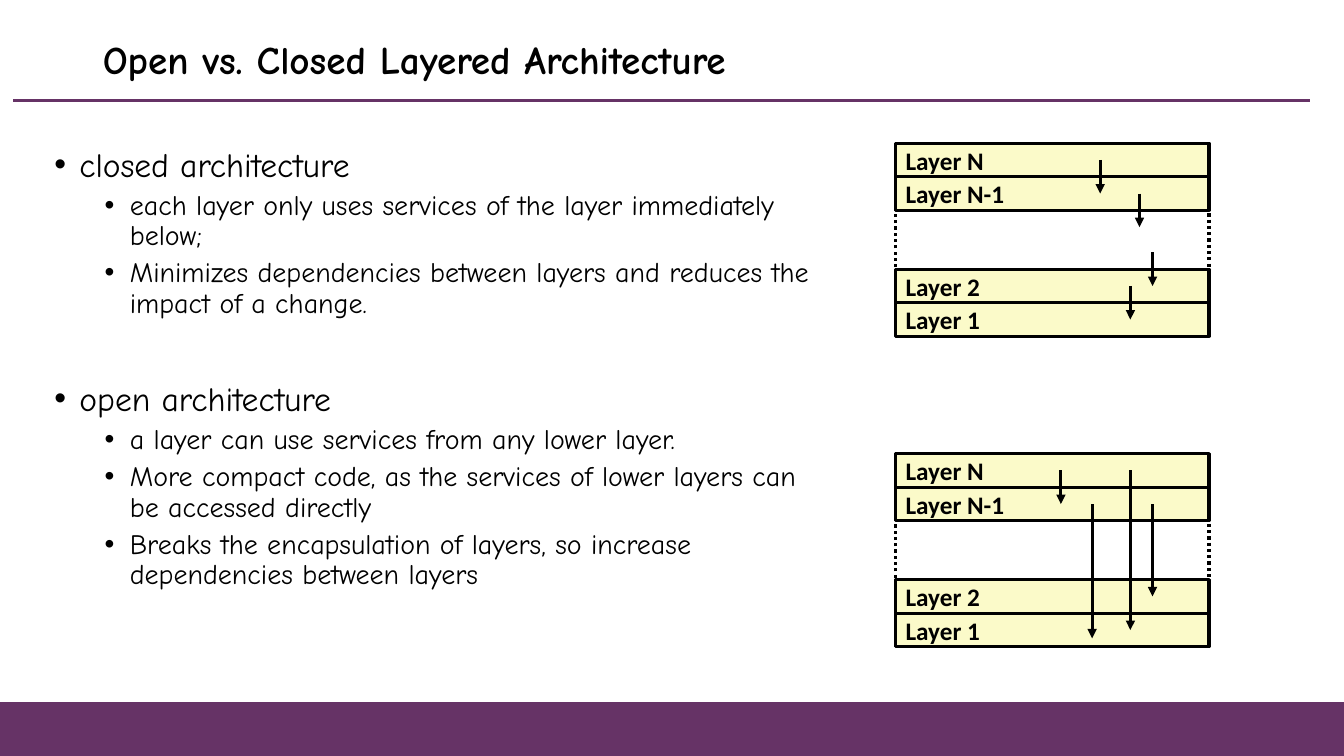
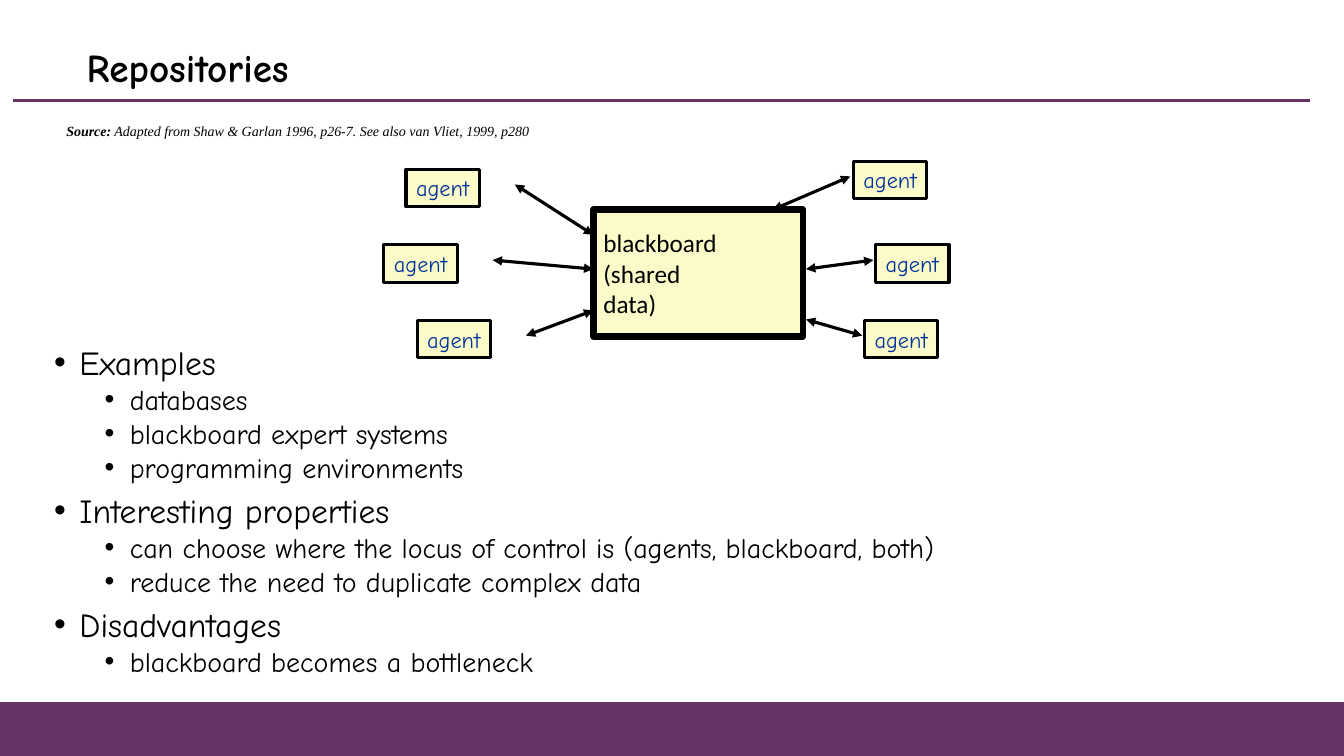
from lxml.etree import SubElement
from pptx import Presentation
from pptx.dml.color import RGBColor
from pptx.enum.dml import MSO_LINE_DASH_STYLE as Dash
from pptx.enum.shapes import MSO_CONNECTOR, MSO_SHAPE
from pptx.enum.text import MSO_ANCHOR as Anchor, MSO_AUTO_SIZE as AutoSize, PP_ALIGN as Align
from pptx.oxml.ns import qn
from pptx.util import Inches, Pt

# Shared style
WIDTH, HEIGHT = 13.34, 7.5
PURPLE, CREAM, BLACK, NAVY = "663366", "FBFAC9", "000000", "003399"
HAND, PLAIN, SERIF = "Comic Neue", "Calibri", "Times New Roman"
LINE = 2.25
LEVELS = [dict(size=24, indent=0.25, before=10), dict(size=20, indent=0.75, before=5)]

# Slide 1 content: topics as (heading, points)
LAYERED_TITLE = "Open vs. Closed Layered Architecture"
LAYERED_TOPICS = [
    ("closed architecture", [
        "each layer only uses services of the layer immediately below;",
        "Minimizes dependencies between layers and reduces the impact of a change."]),
    ("open architecture", [
        "a layer can use services from any lower layer.",
        "More compact code, as the services of lower layers can be accessed directly",
        "Breaks the encapsulation of layers, so increase dependencies between layers"]),
]
# Layer name and its row in the stack
LAYERS = [("Layer N", 0), ("Layer N-1", 1), ("Layer 2", 3.75), ("Layer 1", 4.75)]
STACK_LEFT, STACK_WIDTH, STACK_ROWS, ROW = 8.89, 3.11, 5.75, 1 / 3
# Stack top, then calls as (offset from the left, start row, end row)
STACKS = [
    (1.42, [(2.03, 0.5, 1.5), (2.42, 1.5, 2.5), (2.55, 3.25, 4.25), (2.33, 4.25, 5.25)]),
    (4.5, [(1.64, 0.5, 1.5), (2.55, 1.5, 4.25), (1.95, 1.5, 5.5), (2.33, 0.5, 5.25)]),
]

# Slide 2 content
REPOSITORY_TITLE = "Repositories"
REPOSITORY_TOPICS = [
    ("Examples", ["databases", "blackboard expert systems", "programming environments"]),
    ("Interesting properties", [
        "can choose where the locus of control is (agents, blackboard, both)",
        "reduce the need to duplicate complex data"]),
    ("Disadvantages", ["blackboard becomes a bottleneck"]),
]
SOURCE = [("Source:", True),
          (" Adapted from Shaw & Garlan 1996, p26-7. See also van Vliet, 1999, p280", False)]
BLACKBOARD = ["blackboard", "(shared", "data)"]
AGENT_SIZE = (0.73, 0.37)
# Agent corner, then its link from the agent side to the blackboard
AGENTS = [
    ((4.03, 1.68), (5.11, 1.83), (5.89, 2.33)),
    ((3.81, 2.43), (4.89, 2.58), (5.89, 2.67)),
    ((4.14, 3.18), (5.22, 3.33), (5.89, 3.08)),
    ((8.47, 1.6), (8.44, 1.75), (7.67, 2.08)),
    ((8.69, 2.43), (8.67, 2.58), (8, 2.67)),
    ((8.58, 3.18), (8.56, 3.33), (8, 3.17)),
]


def rgb(value):
    return RGBColor.from_string(value)


def add_run(paragraph, text, font, size, color=BLACK, bold=False, italic=False):
    run = paragraph.add_run()
    run.text = text
    run.font.name, run.font.size = font, Pt(size)
    run.font.bold, run.font.italic = bold, italic
    run.font.color.rgb = rgb(color)


def add_box(slide, left, top, width, height, fill=None, line=BLACK, weight=LINE):
    box = slide.shapes.add_shape(MSO_SHAPE.RECTANGLE, *map(Inches, (left, top, width, height)))
    box.shadow.inherit = False
    if fill:
        box.fill.solid()
        box.fill.fore_color.rgb = rgb(fill)
    else:
        box.fill.background()
    box.line.color.rgb = rgb(line)
    box.line.width = Pt(weight)
    return box


def label(box, lines, font, size, color=BLACK, bold=False, align=Align.LEFT):
    frame = box.text_frame
    frame.word_wrap = True
    frame.vertical_anchor = Anchor.MIDDLE
    for i, text in enumerate(lines):
        paragraph = frame.add_paragraph() if i else frame.paragraphs[0]
        paragraph.alignment = align
        add_run(paragraph, text, font, size, color, bold)


def add_line(slide, start, end, color=BLACK, heads=()):
    line = slide.shapes.add_connector(MSO_CONNECTOR.STRAIGHT, *map(Inches, (*start, *end)))
    line.line.color.rgb = rgb(color)
    line.line.width = Pt(LINE)
    properties = line._element.spPr
    for head in heads:
        SubElement(properties.find(qn("a:ln")), qn(head), type="triangle")
    SubElement(properties, qn("a:effectLst"))


def new_slide(deck, title, left, top):
    slide = deck.slides.add_slide(deck.slide_layouts[5])
    add_box(slide, 0, 6.97, WIDTH, 0.55, PURPLE, PURPLE, 1)
    add_line(slide, (0.13, 1), (13, 1), PURPLE)
    heading = slide.shapes.title
    heading.left, heading.top, heading.width, heading.height = map(
        Inches, (left, top, 11.56, 0.67))
    heading.text_frame.auto_size = AutoSize.NONE
    label(heading, [title], HAND, 28, bold=True)
    heading.text_frame.paragraphs[0].line_spacing = 0.9
    return slide


def add_text_frame(slide, left, top, width, height):
    frame = slide.shapes.add_textbox(*map(Inches, (left, top, width, height))).text_frame
    frame.word_wrap = True
    return frame


def add_topics(slide, area, topics, spacing, topic_gap=LEVELS[0]["before"]):
    frame = add_text_frame(slide, *area)
    entries = [entry for heading, points in topics
               for entry in [(heading, 0)] + [(point, 1) for point in points]]
    for i, (text, level) in enumerate(entries):
        style = LEVELS[level]
        paragraph = frame.add_paragraph() if i else frame.paragraphs[0]
        paragraph.level = level
        properties = paragraph._p.get_or_add_pPr()
        properties.set("marL", str(Inches(style["indent"])))
        properties.set("indent", str(-Inches(0.25)))
        SubElement(SubElement(properties, qn("a:buClr")), qn("a:srgbClr"), val=BLACK)
        SubElement(properties, qn("a:buFont"), typeface="Arial")
        SubElement(properties, qn("a:buChar"), char="•")
        paragraph.line_spacing = spacing
        if i:
            paragraph.space_before = Pt(style["before"] if level else topic_gap)
        add_run(paragraph, text, HAND, style["size"])


def add_stack(slide, top, calls):
    outline = add_box(slide, STACK_LEFT, top, STACK_WIDTH, STACK_ROWS * ROW)
    outline.line.dash_style = Dash.ROUND_DOT
    for name, row in LAYERS:
        layer = add_box(slide, STACK_LEFT, top + row * ROW, STACK_WIDTH, ROW, CREAM)
        label(layer, [name], PLAIN, 18, bold=True)
    for offset, first, last in calls:
        x = STACK_LEFT + offset
        add_line(slide, (x, top + first * ROW), (x, top + last * ROW), heads=["a:tailEnd"])


def build_layered(deck):
    slide = new_slide(deck, LAYERED_TITLE, 0.92, 0.28)
    add_topics(slide, (0.44, 1.42, 7.89, 5.67), LAYERED_TOPICS, 0.9, topic_gap=45)
    for top, calls in STACKS:
        add_stack(slide, top, calls)


def build_repositories(deck):
    slide = new_slide(deck, REPOSITORY_TITLE, 0.76, 0.36)
    add_topics(slide, (0.44, 3.42, 12.44, 3.67), REPOSITORY_TOPICS, 0.8)

    # Blackboard with its agents
    label(add_box(slide, 5.89, 2.08, 2.08, 1.26, CREAM, weight=4.5), BLACKBOARD, PLAIN, 18)
    for corner, start, end in AGENTS:
        agent = add_box(slide, *corner, *AGENT_SIZE, CREAM)
        agent.text_frame.margin_left = agent.text_frame.margin_right = 0
        label(agent, ["agent"], HAND, 16, NAVY, align=Align.CENTER)
        add_line(slide, start, end, heads=["a:headEnd", "a:tailEnd"])

    # Source note
    note = add_text_frame(slide, 0.56, 1.17, 12.11, 0.27).paragraphs[0]
    for text, bold in SOURCE:
        add_run(note, text, SERIF, 10, bold=bold, italic=True)


def main():
    deck = Presentation()
    deck.slide_width, deck.slide_height = Inches(WIDTH), Inches(HEIGHT)
    build_layered(deck)
    build_repositories(deck)
    deck.save("out.pptx")


if __name__ == "__main__":
    main()
